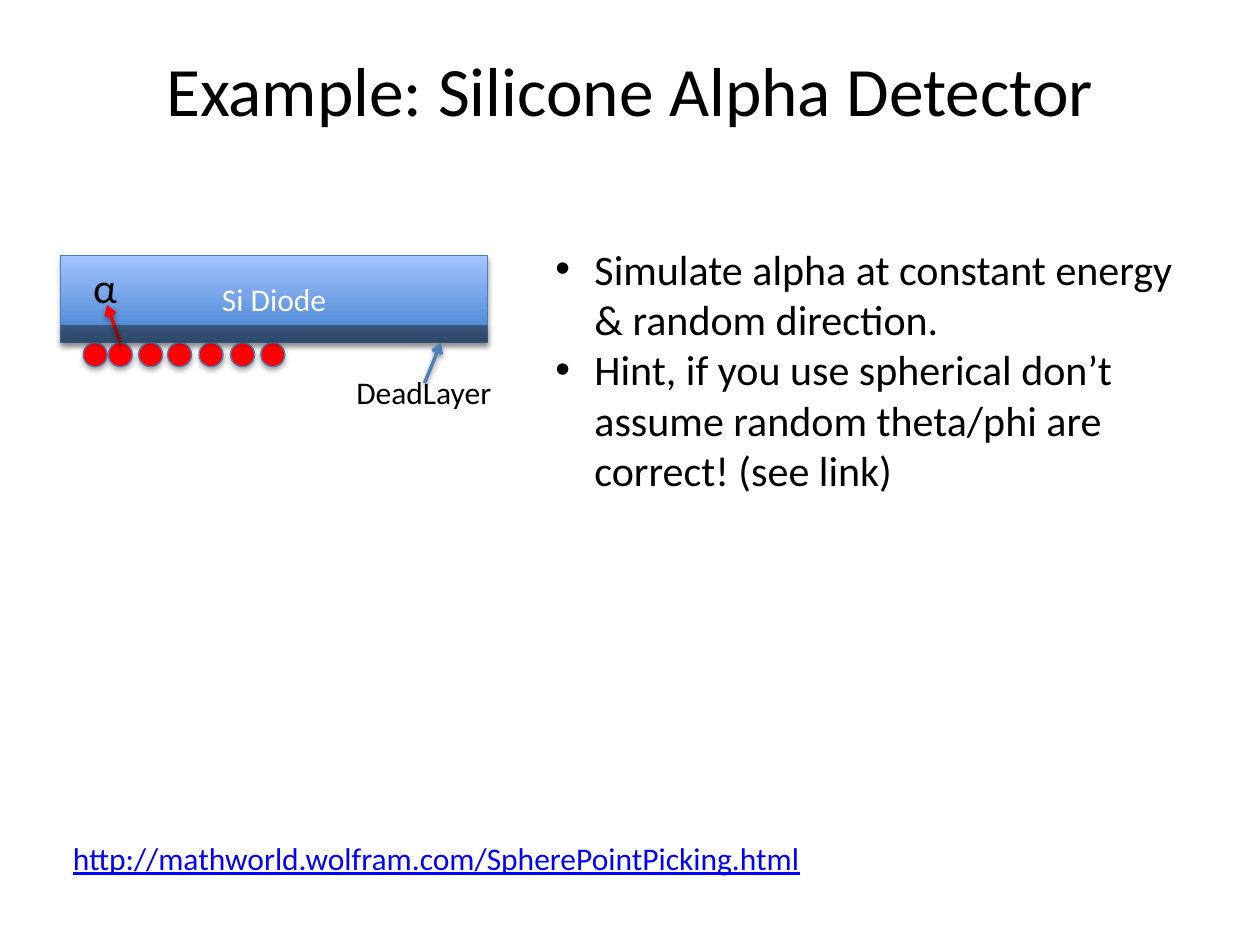
from dataclasses import dataclass
from lxml.etree import SubElement
from pptx import Presentation
from pptx.dml.color import RGBColor
from pptx.enum.shapes import MSO_CONNECTOR, MSO_SHAPE
from pptx.enum.text import MSO_ANCHOR, PP_ALIGN
from pptx.oxml.ns import qn
from pptx.util import Inches, Pt

COLS, ROWS = 100, 75
WIDE, HIGH = Inches(10), Inches(7.5)
EDGE = "4B7EBC"
RED = "FF0000"


@dataclass
class Box:
    """A place on the grid, in columns and rows."""
    col: float
    row: float
    wide: float
    high: float

    def emu(self) -> tuple:
        """Return left, top, width and height in slide units."""
        return (*spot(self.col, self.row), *spot(self.wide, self.high))


def spot(col: float, row: float) -> tuple:
    """Turn columns and rows into slide units."""
    return round(WIDE * col / COLS), round(HIGH * row / ROWS)


def tint(code: str) -> RGBColor:
    """Return the colour for a hex string."""
    return RGBColor.from_string(code)


def shade(item, alpha: int, dist: float) -> None:
    """Give a shape or connector a soft shadow straight below it."""
    props = item._element.spPr
    for old in props.findall(qn("a:effectLst")):
        props.remove(old)
    cast = SubElement(SubElement(props, qn("a:effectLst")), qn("a:outerShdw"),
                      blurRad=str(Pt(3.1)), dist=str(Pt(dist)),
                      dir="5400000", rotWithShape="0")
    color = SubElement(cast, qn("a:srgbClr"), val="000000")
    SubElement(color, qn("a:alpha"), val=str(alpha * 1000))


def write(frame, *lines: str, size: float = 18, color: str = "000000",
          align=PP_ALIGN.LEFT, anchor=MSO_ANCHOR.TOP, wrap: bool = True,
          under: bool = False, bullet: bool = False) -> None:
    """Fill a text frame with one paragraph for each line."""
    frame.word_wrap, frame.vertical_anchor = wrap, anchor
    for rank, line in enumerate(lines):
        para = frame.add_paragraph() if rank else frame.paragraphs[0]
        para.alignment = align
        if bullet:
            props = para._p.get_or_add_pPr()
            props.set("marL", str(Inches(0.31)))
            props.set("indent", str(-Inches(0.31)))
            SubElement(props, qn("a:buFont"), typeface="Arial")
            SubElement(props, qn("a:buChar"), char="•")
        run = para.add_run()
        run.text = line
        font = run.font
        font.name, font.size = "Calibri", Pt(size)
        font.color.rgb = tint(color)
        if under:
            font.underline = True


def label(slide, box: Box, *lines: str, **form) -> None:
    """Add a text box with formatted text."""
    write(slide.shapes.add_textbox(*box.emu()).text_frame, *lines, **form)


def solid(slide, kind, box: Box, fill: str, top: str = "",
          edge: str = "", alpha: int = 100):
    """Add a shaded shape, plain or fading to a top colour."""
    shape = slide.shapes.add_shape(kind, *box.emu())
    if top:
        shape.fill.gradient()
        shape.fill.gradient_angle = 90
        for stop, code in zip(shape.fill.gradient_stops, (fill, top)):
            stop.color.rgb = tint(code)
    else:
        shape.fill.solid()
        shape.fill.fore_color.rgb = tint(fill)
    if alpha < 100:
        color = shape._element.spPr.find(qn("a:solidFill"))[0]
        SubElement(color, qn("a:alpha"), val=str(alpha * 1000))
    if edge:
        shape.line.color.rgb = tint(edge)
        shape.line.width = Pt(0.75)
    else:
        shape.line.fill.background()
    shade(shape, 35, 1.8)
    return shape


def arrow(slide, start: tuple, end: tuple, color: str):
    """Add a straight arrow between two grid points."""
    line = slide.shapes.add_connector(
        MSO_CONNECTOR.STRAIGHT, *spot(*start), *spot(*end))
    line.line.color.rgb = tint(color)
    line.line.width = Pt(2)
    SubElement(line.line._get_or_add_ln(), qn("a:tailEnd"), type="arrow")
    shade(line, 38, 1.6)
    return line


def main() -> None:
    """Build the slide and save it."""
    deck = Presentation()
    deck.slide_width, deck.slide_height = WIDE, HIGH
    slide = deck.slides.add_slide(deck.slide_layouts[6])
    label(slide, Box(5, 3, 90, 8.1), "Example: Silicone Alpha Detector",
          size=39.6, align=PP_ALIGN.CENTER, anchor=MSO_ANCHOR.MIDDLE)

    left, wide, base = 4.8, 33.9, 27.2
    diode = solid(slide, MSO_SHAPE.RECTANGLE, Box(left, 20.3, wide, 6.9),
                  "3F80CE", top="A4C4FF", edge=EDGE)
    write(diode.text_frame, "Si Diode", color="FFFFFF",
          align=PP_ALIGN.CENTER, anchor=MSO_ANCHOR.MIDDLE)
    dots = [solid(slide, MSO_SHAPE.OVAL, Box(col, base, 1.9, 1.9), RED, edge=EDGE)
            for col in (6.6, 8.6, 11, 13.3, 15.8, 18.3, 20.7)]
    label(slide, Box(6.4, 20.3, 3.9, 5), "α", size=24, wrap=False)
    ray = arrow(slide, (9.6, base), (8.5, 24.2), RED)
    ray.begin_connect(dots[1], 0)
    solid(slide, MSO_SHAPE.RECTANGLE, Box(left, base - 1.4, wide, 1.4),
          "262626", alpha=47)
    label(slide, Box(27.3, 29.1, 12.9, 4), "DeadLayer", wrap=False)
    arrow(slide, (33.7, 30.4), (35, base), "4F81BD")

    label(slide, Box(43.1, 18.8, 51.9, 25.2),
          "Simulate alpha at constant energy & random direction.",
          "Hint, if you use spherical don’t assume random theta/phi are "
          "correct! (see link)", size=24, bullet=True)
    label(slide, Box(left, 66.1, 72.8, 4),
          "http://mathworld.wolfram.com/SpherePointPicking.html",
          color="0000FF", under=True)
    deck.save("out.pptx")


if __name__ == "__main__":
    main()
